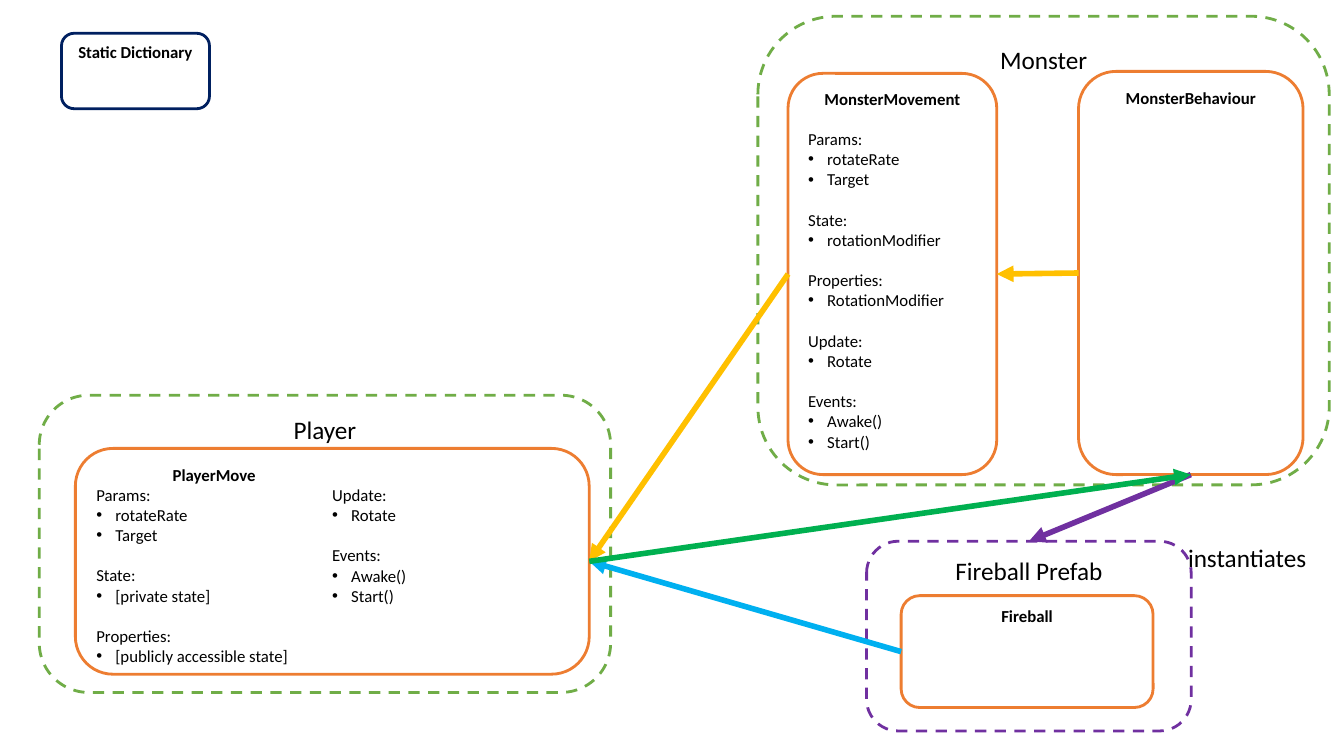
from dataclasses import dataclass

from lxml.etree import SubElement
from pptx import Presentation
from pptx.dml.color import RGBColor
from pptx.enum.dml import MSO_LINE
from pptx.enum.shapes import MSO_CONNECTOR, MSO_SHAPE
from pptx.enum.text import MSO_ANCHOR, PP_ALIGN
from pptx.oxml.ns import qn
from pptx.util import Cm, Pt


@dataclass(frozen=True)
class Theme:
    font: str = "Calibri"
    heading: float = 18
    body: float = 12
    section_gap: float = 14.4
    outline: float = 2
    arrow: float = 4
    text: str = "000000"
    paper: str = "FFFFFF"
    game_object: str = "70AD47"
    script: str = "ED7D31"
    prefab: str = "7030A0"
    static: str = "002060"
    reference: str = "FFC000"
    hit: str = "00B0F0"
    event: str = "00B050"


THEME = Theme()
TOP, LEFT, BOTTOM, RIGHT = range(4)

MOVEMENT = [
    ("Params:", ["rotateRate", "Target"]),
    ("State:", ["rotationModifier"]),
    ("Properties:", ["RotationModifier"]),
    ("Update:", ["Rotate"]),
    ("Events:", ["Awake()", "Start()"]),
]
PLAYER_DATA = [
    ("Params:", ["rotateRate", "Target"]),
    ("State:", ["[private state]"]),
    ("Properties:", ["[publicly accessible state]"]),
]
PLAYER_CALLS = [("Update:", ["Rotate"]), ("Events:", ["Awake()", "Start()"])]


def rgb(color):
    return RGBColor.from_string(color)


def style(p, size, bold=False, align=PP_ALIGN.LEFT):
    p.alignment = align
    for r in p.runs:
        r.font.name = THEME.font
        r.font.size = Pt(size)
        r.font.bold = bold
        r.font.color.rgb = rgb(THEME.text)


def add_bullet(p):
    pPr = p._p.get_or_add_pPr()
    pPr.set("marL", str(Cm(0.48)))
    pPr.set("indent", str(-Cm(0.48)))
    SubElement(pPr, qn("a:buFont"), typeface="Arial")
    SubElement(pPr, qn("a:buChar"), char="•")


def add_sections(tf, sections, first_gap):
    for i, (name, members) in enumerate(sections):
        p = tf.paragraphs[0] if not tf.text else tf.add_paragraph()
        p.text = name
        p.space_before = Pt(THEME.section_gap if i or first_gap else 0)
        style(p, THEME.body)
        for member in members:
            p = tf.add_paragraph()
            p.text = member
            style(p, THEME.body)
            add_bullet(p)


def add_box(shapes, box, title, color, size=THEME.body, bold=True):
    sp = shapes.add_shape(MSO_SHAPE.ROUNDED_RECTANGLE, *map(Cm, box))
    sp.shadow.inherit = False
    sp.fill.solid()
    sp.fill.fore_color.rgb = rgb(THEME.paper)
    sp.line.color.rgb = rgb(color)
    sp.line.width = Pt(THEME.outline)
    tf = sp.text_frame
    tf.word_wrap = True
    tf.vertical_anchor = MSO_ANCHOR.TOP
    tf.text = title
    style(tf.paragraphs[0], size, bold, PP_ALIGN.CENTER)
    return sp


def add_frame(shapes, box, title, color):
    sp = add_box(shapes, box, title, color, THEME.heading, False)
    sp.fill.background()
    sp.line.dash_style = MSO_LINE.DASH
    return sp


def add_monster(s, box):
    x, y, w, h = box
    shapes = s.shapes.add_group_shape().shapes
    add_frame(shapes, box, "Monster", THEME.game_object)
    behaviour = add_box(shapes, (x + 8.08, y + 1.39, 5.66, h - 1.65),
                        "MonsterBehaviour", THEME.script)
    movement = add_box(shapes, (x + 0.76, y + 1.44, 5.26, h - 1.7),
                       "MonsterMovement", THEME.script)
    add_sections(movement.text_frame, MOVEMENT, True)
    return movement, behaviour


def add_player(s, box):
    x, y, w, h = box
    shapes = s.shapes.add_group_shape().shapes
    add_frame(shapes, box, "Player", THEME.game_object)
    left, top, width = x + 0.91, y + 1.34, w - 1.45
    move = add_box(shapes, (left, top, width, h - 1.8), "PlayerMove", THEME.script)
    move.text_frame.margin_right = Cm(6.2)
    add_sections(move.text_frame, PLAYER_DATA, False)
    calls = shapes.add_textbox(Cm(left + 6.22), Cm(top + 0.79), Cm(5.95), Cm(3.5))
    calls.text_frame.word_wrap = True
    add_sections(calls.text_frame, PLAYER_CALLS, False)
    return move


def add_prefab(s, box):
    x, y, w, h = box
    shapes = s.shapes.add_group_shape().shapes
    frame = add_frame(shapes, box, "Fireball Prefab", THEME.prefab)
    fireball = add_box(shapes, (x + 0.87, y + 1.37, w - 1.83, h - 1.96),
                       "Fireball", THEME.script)
    return frame, fireball


def add_label(s, box, text):
    tf = s.shapes.add_textbox(*map(Cm, box)).text_frame
    tf.word_wrap = False
    tf.text = text
    style(tf.paragraphs[0], THEME.heading)


def add_arrow(s, start, start_side, end, end_side, color):
    cxn = s.shapes.add_connector(MSO_CONNECTOR.STRAIGHT, 0, 0, 0, 0)
    cxn.begin_connect(start, start_side)
    cxn.end_connect(end, end_side)
    cxn.line.color.rgb = rgb(color)
    cxn.line.width = Pt(THEME.arrow)
    SubElement(cxn.line._get_or_add_ln(), qn("a:tailEnd"), type="triangle")
    SubElement(cxn._element.spPr, qn("a:effectLst"))


def main():
    prs = Presentation()
    prs.slide_width, prs.slide_height = Cm(33.87), Cm(19.05)
    s = prs.slides.add_slide(prs.slide_layouts[6])
    movement, behaviour = add_monster(s, (19.1, 0.41, 14.4, 11.81))
    move = add_player(s, (0.99, 9.96, 14.4, 7.49))
    prefab, fireball = add_prefab(s, (21.84, 13.64, 8.18, 4.78))
    add_box(s.shapes, (1.55, 0.84, 3.73, 1.9), "Static Dictionary", THEME.static)
    add_label(s, (29.69, 13.54, 3.53, 1.02), "instantiates")
    add_arrow(s, fireball, LEFT, move, RIGHT, THEME.hit)
    add_arrow(s, behaviour, BOTTOM, prefab, TOP, THEME.prefab)
    add_arrow(s, behaviour, LEFT, movement, RIGHT, THEME.reference)
    add_arrow(s, movement, LEFT, move, RIGHT, THEME.reference)
    add_arrow(s, move, RIGHT, behaviour, BOTTOM, THEME.event)
    prs.save("out.pptx")


if __name__ == "__main__":
    main()
